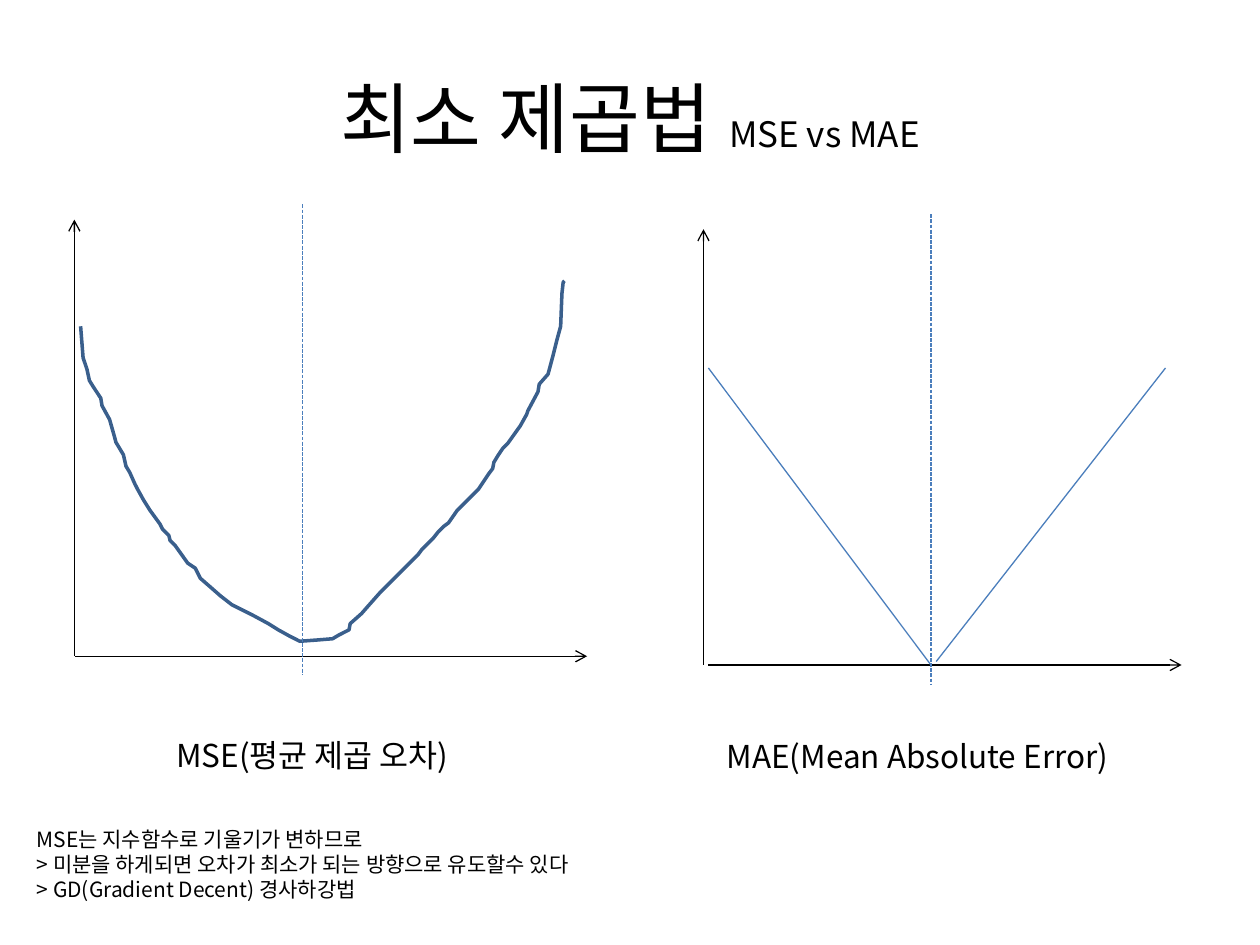
from dataclasses import dataclass

from lxml import etree
from pptx import Presentation
from pptx.dml.color import RGBColor
from pptx.enum.dml import MSO_LINE
from pptx.enum.shapes import MSO_CONNECTOR
from pptx.enum.text import MSO_ANCHOR, MSO_AUTO_SIZE, PP_ALIGN
from pptx.oxml.ns import qn
from pptx.util import Pt

STRAIGHT = MSO_CONNECTOR.STRAIGHT
DASH = MSO_LINE.SQUARE_DOT
MIDDLE = MSO_ANCHOR.MIDDLE
CENTER = PP_ALIGN.CENTER
FIT_SHAPE = MSO_AUTO_SIZE.SHAPE_TO_FIT_TEXT


@dataclass(frozen=True)
class Theme:
    font: str = "Noto Sans CJK KR"
    ink: RGBColor = RGBColor(0x00, 0x00, 0x00)
    guide: RGBColor = RGBColor(0x4B, 0x7E, 0xBC)
    curve: RGBColor = RGBColor(0x3A, 0x5F, 0x8C)
    title: float = 44
    subtitle: float = 20
    caption: float = 18
    note: float = 12
    thin: float = 0.75
    thick: float = 2


@dataclass(frozen=True)
class Line:
    x1: float
    y1: float
    x2: float
    y2: float
    color: RGBColor
    arrow: bool = False
    dashed: bool = False


@dataclass(frozen=True)
class Label:
    left: float
    top: float
    width: float
    height: float
    size: float
    lines: tuple[str, ...]
    wrap: bool = False


THEME = Theme()

LINES = [
    Line(43, 375, 335.5, 375, THEME.ink, arrow=True),
    Line(42.5, 375, 42.5, 125.5, THEME.ink, arrow=True),
    Line(172.8, 116.8, 172.8, 386, THEME.guide, dashed=True),
    Line(404.8, 380, 675.2, 380, THEME.ink, arrow=True),
    Line(402, 380, 402, 131, THEME.ink, arrow=True),
    Line(532, 122.4, 532, 391.6, THEME.guide, dashed=True),
    Line(404.8, 210.3, 532, 380, THEME.guide),
    Line(666, 210.3, 535, 378, THEME.guide),
]

LABELS = [
    Label(93.6, 416.8, 183.6, 29, THEME.caption, ("MSE(평균 제곱 오차)",)),
    Label(408.2, 417.8, 234.8, 29, THEME.caption, ("MAE(Mean Absolute Error)",)),
    Label(11, 468.8, 394, 54, THEME.note, (
        "MSE는 지수함수로 기울기가 변하므로",
        "> 미분을 하게되면 오차가 최소가 되는 방향으로 유도할수 있다",
        "> GD(Gradient Decent) 경사하강법",
    ), wrap=True),
]

CURVE_UNIT = Pt(0.72)
CURVE = [
    (64, 259), (66, 284), (69, 293), (71, 302), (74, 307), (80, 316),
    (81, 322), (87, 333), (91, 347), (92, 351), (98, 361), (100, 370),
    (103, 375), (107, 384), (109, 388), (114, 397), (119, 405), (127, 416),
    (129, 420), (134, 425), (135, 429), (139, 433), (149, 447), (155, 451),
    (159, 459), (167, 466), (175, 473), (184, 480), (192, 484), (200, 488),
    (213, 495), (221, 500), (230, 505), (238, 509), (252, 508), (264, 507),
    (269, 504), (277, 500), (278, 495), (287, 487), (294, 479), (302, 470),
    (309, 463), (317, 455), (325, 447), (332, 440), (335, 436), (344, 427),
    (348, 422), (352, 418), (356, 415), (363, 405), (375, 393), (380, 388),
    (388, 376), (391, 372), (392, 367), (395, 362), (399, 356), (403, 352),
    (413, 338), (418, 329), (419, 326), (427, 311), (428, 305), (435, 297),
    (439, 282), (442, 270), (445, 259), (446, 233), (447, 224), (448, 223),
]


def set_font(p, size: float) -> None:
    p.font.size = Pt(size)
    p.font.name = THEME.font
    p.font.color.rgb = THEME.ink
    props = p._p.pPr.find(qn("a:defRPr"))
    etree.SubElement(props, qn("a:ea")).set("typeface", THEME.font)


def add_title(s) -> None:
    sp = s.shapes.title
    sp.left, sp.top, sp.width, sp.height = Pt(36), Pt(21.6), Pt(648), Pt(90)
    sp.text_frame.vertical_anchor = MIDDLE
    p = sp.text_frame.paragraphs[0]
    p.alignment = CENTER
    set_font(p, THEME.title)
    p.add_run().text = "최소 제곱법 "
    r = p.add_run()
    r.text = "MSE vs MAE"
    r.font.size = Pt(THEME.subtitle)


def add_line(s, line: Line) -> None:
    sp = s.shapes.add_connector(
        STRAIGHT, Pt(line.x1), Pt(line.y1), Pt(line.x2), Pt(line.y2))
    sp.line.color.rgb = line.color
    sp.line.width = Pt(THEME.thin)
    if line.dashed:
        sp.line.dash_style = DASH
    if line.arrow:
        etree.SubElement(sp.line._get_or_add_ln(), qn("a:tailEnd")).set("type", "arrow")
    etree.SubElement(sp._element.spPr, qn("a:effectLst"))


def add_curve(s, points: list[tuple[int, int]]) -> None:
    builder = s.shapes.build_freeform(*points[0], scale=CURVE_UNIT)
    builder.add_line_segments(points[1:], close=False)
    sp = builder.convert_to_shape()
    sp.shadow.inherit = False
    sp.fill.background()
    sp.line.color.rgb = THEME.curve
    sp.line.width = Pt(THEME.thick)


def add_label(s, label: Label) -> None:
    sp = s.shapes.add_textbox(
        Pt(label.left), Pt(label.top), Pt(label.width), Pt(label.height))
    tf = sp.text_frame
    tf.word_wrap = label.wrap
    tf.auto_size = FIT_SHAPE
    if label.wrap:
        tf.margin_left = Pt(10)
    for i, text in enumerate(label.lines):
        p = tf.add_paragraph() if i else tf.paragraphs[0]
        p.text = text
        set_font(p, label.size)


def main() -> None:
    prs = Presentation()
    prs.slide_width, prs.slide_height = Pt(720), Pt(540)
    s = prs.slides.add_slide(prs.slide_layouts[5])
    add_title(s)
    add_curve(s, CURVE)
    for line in LINES:
        add_line(s, line)
    for label in LABELS:
        add_label(s, label)
    prs.save("out.pptx")


if __name__ == "__main__":
    main()
